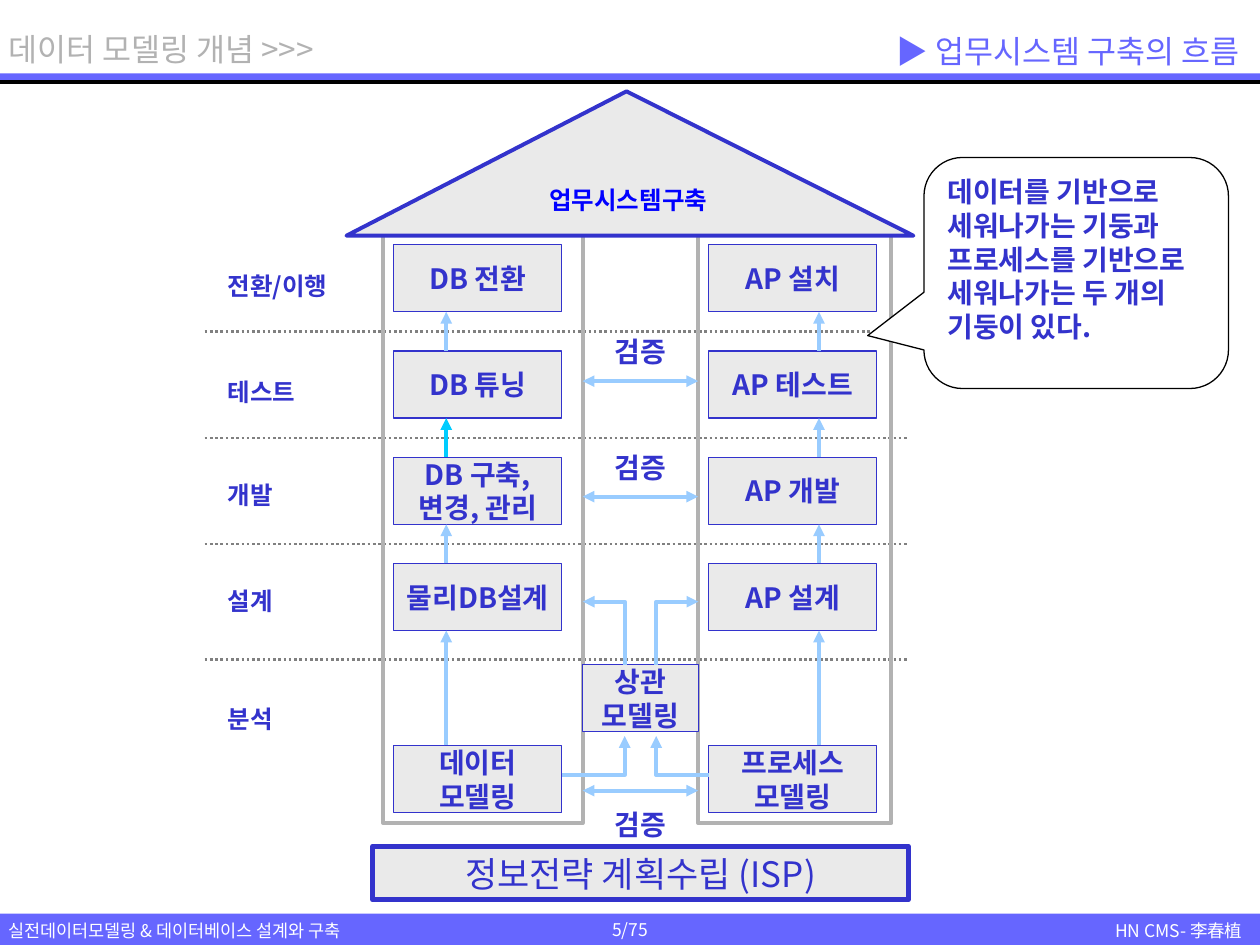
from dataclasses import dataclass
import pptx
import pptx.util
import pptx.dml.color
import pptx.enum.dml
import pptx.enum.shapes
import pptx.enum.text
import pptx.oxml.ns
from lxml import etree

FONT = "Noto Sans CJK KR"
COLORS = {
    "bar": "6666FF", "ink": "3333CC", "roof": "0000FF", "panel": "EAEAEA",
    "pillar": "B2B2B2", "dots": "808080", "arrow": "99CCFF",
    "accent": "00CCFF", "white": "FFFFFF", "black": "000000",
}
SHAPE = pptx.enum.shapes.MSO_SHAPE
ALIGN = pptx.enum.text.PP_ALIGN
ANCHOR = pptx.enum.text.MSO_ANCHOR
DASH = pptx.enum.dml.MSO_LINE

prs = pptx.Presentation()
prs.slide_width = pptx.util.Inches(10)
prs.slide_height = pptx.util.Inches(7.5)
COLS, ROWS = 120, 90
CELL = prs.slide_width / COLS
s = prs.slides.add_slide(prs.slide_layouts[6])


@dataclass
class Box:
    col: float
    row: float
    cols: float
    rows: float


@dataclass
class Stage:
    name: str
    label_row: float
    data: str
    app: str
    box_row: float


@dataclass
class Route:
    points: list[tuple[float, float]]


def grid(n: float) -> int:
    return round(n * CELL)


def place(b: Box) -> tuple[int, int, int, int]:
    return grid(b.col), grid(b.row), grid(b.cols), grid(b.rows)


def rgb(name: str) -> pptx.dml.color.RGBColor:
    return pptx.dml.color.RGBColor.from_string(COLORS[name])


def write(sp, text: str, size: float = 16, color: str = "ink", bold: bool = True,
          align=ALIGN.CENTER, anchor=ANCHOR.MIDDLE, wrap: bool = False) -> None:
    tf = sp.text_frame
    tf.word_wrap = wrap
    tf.vertical_anchor = anchor
    for i, line in enumerate(text.split("\n")):
        p = tf.paragraphs[0] if i == 0 else tf.add_paragraph()
        p.alignment = align
        p.line_spacing = pptx.util.Pt(size * 1.2)
        r = p.add_run()
        r.text = line
        r.font.name = FONT
        r.font.size = pptx.util.Pt(size)
        r.font.bold = bold
        r.font.color.rgb = rgb(color)
        ea = etree.SubElement(r.font._element, pptx.oxml.ns.qn("a:ea"))
        ea.set("typeface", FONT)


def add_text(b: Box, text: str, **fmt) -> None:
    write(s.shapes.add_textbox(*place(b)), text, **fmt)


def add_box(b: Box, fill: str | None = "panel", line: str | None = "ink",
            width: float = 0.75, kind=SHAPE.RECTANGLE, adjust: tuple = ()):
    sp = s.shapes.add_shape(kind, *place(b))
    sp.shadow.inherit = False
    for i, value in enumerate(adjust):
        sp.adjustments[i] = value
    if fill:
        sp.fill.solid()
        sp.fill.fore_color.rgb = rgb(fill)
    else:
        sp.fill.background()
    if line:
        sp.line.color.rgb = rgb(line)
        sp.line.width = pptx.util.Pt(width)
    else:
        sp.line.fill.background()
    return sp


def style_line(sp, color: str, width: float, ends: tuple = ()) -> None:
    sp.line.color.rgb = rgb(color)
    sp.line.width = pptx.util.Pt(width)
    for end in ends:
        arrow = etree.SubElement(sp.line._get_or_add_ln(), pptx.oxml.ns.qn(f"a:{end}"))
        arrow.set("type", "triangle")


def add_line(x1: float, y1: float, x2: float, y2: float, color: str = "arrow",
             width: float = 2.25, ends: tuple = ("tailEnd",)):
    sp = s.shapes.add_connector(pptx.enum.shapes.MSO_CONNECTOR.STRAIGHT,
                                grid(x1), grid(y1), grid(x2), grid(y2))
    style_line(sp, color, width, ends)
    etree.SubElement(sp._element.spPr, pptx.oxml.ns.qn("a:effectLst"))
    return sp


def add_route(route: Route) -> None:
    points = [(grid(x), grid(y)) for x, y in route.points]
    fb = s.shapes.build_freeform(*points[0])
    fb.add_line_segments(points[1:], close=False)
    sp = fb.convert_to_shape()
    sp.shadow.inherit = False
    sp.fill.background()
    style_line(sp, "arrow", 2.25, ("tailEnd",))


BOX_H, BOX_W, PITCH, TOP = 6.4, 16, 10.12, 23.3
DATA_COL, APP_COL = 37.5, 67.5
DATA_ARROW, APP_ARROW = 42.5, 78
GAP_LEFT, GAP_RIGHT = 55.5, 66.5
GAP = GAP_RIGHT - GAP_LEFT

STAGES = [
    Stage("전환/이행", 25.2, "DB 전환", "AP 설치", TOP),
    Stage("테스트", 35.3, "DB 튜닝", "AP 테스트", TOP + PITCH),
    Stage("개발", 45.1, "DB 구축,\n변경, 관리", "AP 개발", TOP + 2 * PITCH),
    Stage("설계", 55.2, "물리DB설계", "AP 설계", TOP + 3 * PITCH),
    Stage("분석", 66.5, "데이터\n모델링", "프로세스\n모델링", 71),
]
DIVIDERS = [31.55, 41.7, 51.8, 62.8]
CHECKS = [(31.3, 36.3), (42.3, 47.3), (76.3, 75.3)]
ROUTES = [
    Route([(53.5, 73.8), (59.5, 73.8), (59.5, 70.1)]),
    Route([(67.5, 73.8), (62.5, 73.8), (62.5, 70.1)]),
    Route([(59.5, 63.3), (59.5, 57.3), (GAP_LEFT, 57.3)]),
    Route([(62.5, 63.3), (62.5, 57.3), (GAP_RIGHT, 57.3)]),
]

small = dict(size=10, color="white", bold=False)
write(add_box(Box(0, 87, COLS, 3), fill="bar", line=None), "5/75", **small)
add_box(Box(0, 7, COLS, 0.7), fill="bar", line=None)
for rule in (7.7, 7.8, 7.9):
    add_line(0, rule, COLS, rule, "black", 0.75, ())
add_text(Box(-0.4, 87, 37.6, 3.2), "실전데이터모델링 & 데이터베이스 설계와 구축",
         align=ALIGN.LEFT, **small)
add_text(Box(103.5, 87, 16, 3.2), "HN CMS- 李春植", align=ALIGN.RIGHT, **small)
add_text(Box(-0.4, 2.3, 33.6, 4.8), "데이터 모델링 개념 >>>", size=18,
         color="pillar", bold=False, align=ALIGN.LEFT)
add_text(Box(7, 2.3, 112.2, 5.1), "▶ 업무시스템 구축의 흐름", size=18,
         color="bar", bold=False, align=ALIGN.RIGHT)

for row in DIVIDERS:
    add_line(19.5, row, 86.5, row, "dots", 1.5, ()).line.dash_style = DASH.ROUND_DOT

for pillar in (Box(36.5, 22.4, 19, 56), Box(GAP_RIGHT, 22.4, 18.4, 56)):
    add_box(pillar, fill=None, line="pillar", width=2.25)

for stage in STAGES:
    add_text(Box(20.5, stage.label_row, 15, 4.1), stage.name, size=14,
             align=ALIGN.LEFT, anchor=ANCHOR.TOP, wrap=True)
    for col, text in ((DATA_COL, stage.data), (APP_COL, stage.app)):
        write(add_box(Box(col, stage.box_row, BOX_W, BOX_H)), text)
write(add_box(Box(GAP_LEFT, 63.3, GAP, BOX_H)), "상관\n모델링")

write(add_box(Box(33, 8.7, 54, 13.75), width=2.25, kind=SHAPE.ISOSCELES_TRIANGLE,
              adjust=(0.494,)), "업무시스템구축", size=14, color="roof")
write(add_box(Box(35.5, 80.6, 51, 5.1), width=3), "정보전략 계획수립 (ISP)",
      size=20, bold=False)

for upper, lower in zip(STAGES, STAGES[1:]):
    for col in (DATA_ARROW, APP_ARROW):
        accent = lower.name == "개발" and col == DATA_ARROW
        add_line(col, lower.box_row, col, upper.box_row + BOX_H,
                 "accent" if accent else "arrow")
for route in ROUTES:
    add_route(route)
for text_row, arrow_row in CHECKS:
    add_text(Box(GAP_LEFT, text_row, GAP, 4.4), "검증", anchor=ANCHOR.TOP, wrap=True)
    add_line(GAP_LEFT, arrow_row, GAP_RIGHT, arrow_row, ends=("headEnd", "tailEnd"))

write(add_box(Box(88, 15, 29, 22), fill="white", line="black",
              kind=SHAPE.ROUNDED_RECTANGULAR_CALLOUT, adjust=(-0.685, 0.271, 0.167)),
      "데이터를 기반으로\n세워나가는 기둥과\n프로세스를 기반으로 세워나가는 두 개의 기둥이 있다.",
      align=ALIGN.LEFT, anchor=ANCHOR.TOP, wrap=True)

prs.save("out.pptx")
